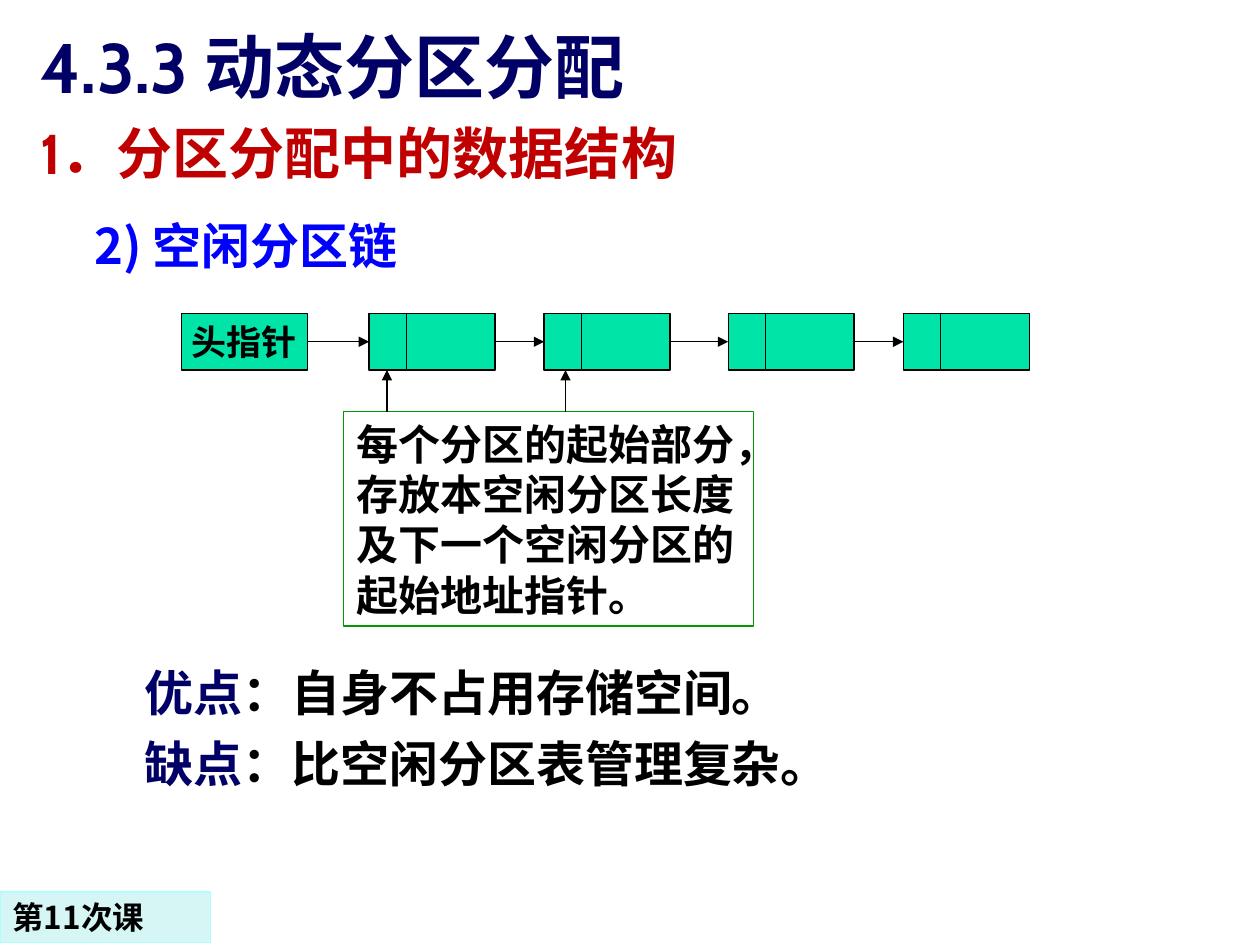
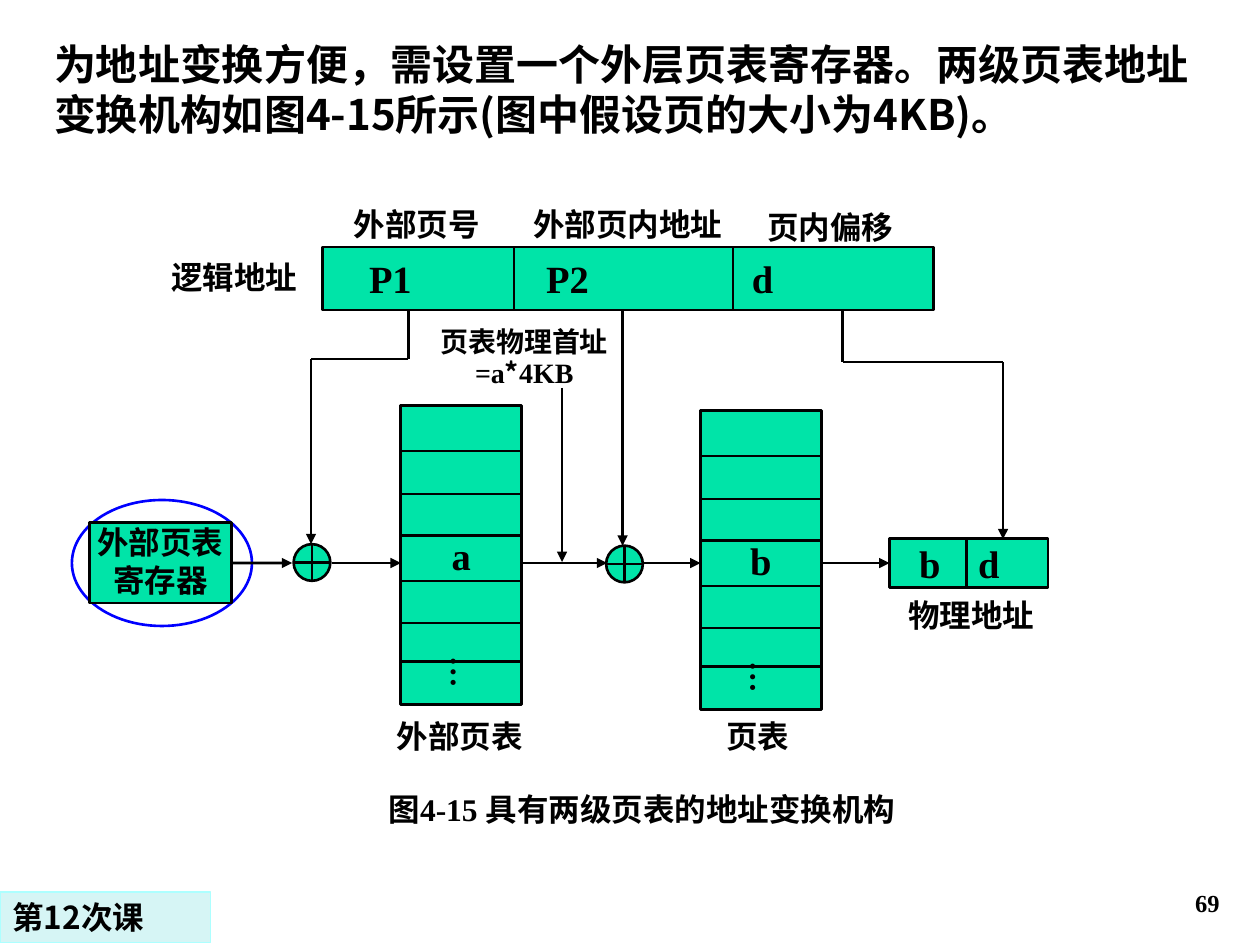
from dataclasses import dataclass
from lxml import etree
from pptx import Presentation, util as u
from pptx.dml.color import RGBColor
from pptx.enum import shapes, text
from pptx.oxml.ns import qn


@dataclass(frozen=True)
class Theme:
    ink: str = "000000"
    navy: str = "000066"
    blue: str = "0000FF"
    red: str = "C00000"
    mint: str = "00E4A8"
    green: str = "009900"
    band: str = "D6F5F5"
    band_edge: str = "ADFFFF"
    white: str = "FFFFFF"
    sans: str = "Noto Sans CJK SC"
    latin: str = "Cabin"
    serif: str = "Times New Roman"
    title: int = 40
    heading: int = 32
    subheading: int = 28
    body: int = 24
    symbol: int = 22
    pointer: int = 20
    label: int = 18
    small: int = 16
    page_number: int = 14
    thin: float = 0.75
    thick: float = 1.5


theme = Theme()
kinds = shapes.MSO_SHAPE
left, center, right = text.PP_ALIGN.LEFT, text.PP_ALIGN.CENTER, text.PP_ALIGN.RIGHT
top, middle, bottom = text.MSO_ANCHOR.TOP, text.MSO_ANCHOR.MIDDLE, text.MSO_ANCHOR.BOTTOM


def add_box(page, kind, place, lines=(), size=theme.label, font=theme.latin, color=theme.ink,
            align=left, anchor=top, wrap=True, gap=0, spacing=None, inset=0.25, tabs=(),
            fill=None, edge=None, weight=theme.thin):
    place = [u.Cm(length) for length in place]
    if kind == "title":
        box = page.shapes.title
        box.left, box.top, box.width, box.height = place
    elif kind is None:
        box = page.shapes.add_textbox(*place)
    else:
        box = page.shapes.add_shape(kind, *place)
        box.shadow.inherit = False
    if fill:
        box.fill.solid()
        box.fill.fore_color.rgb = RGBColor.from_string(fill)
    else:
        box.fill.background()
    if edge:
        box.line.color.rgb = RGBColor.from_string(edge)
        box.line.width = u.Pt(weight)
    else:
        box.line.fill.background()
    frame = box.text_frame
    frame.word_wrap = wrap
    frame.auto_size = text.MSO_AUTO_SIZE.NONE
    frame.vertical_anchor = anchor
    frame.margin_left, frame.margin_right = u.Cm(inset), u.Cm(0.25)
    frame.margin_top = frame.margin_bottom = u.Cm(0.13)
    for index, line in enumerate(lines):
        para = frame.add_paragraph() if index else frame.paragraphs[0]
        para.alignment = align
        para.space_before = u.Pt(gap if index else 0)
        if spacing:
            para.line_spacing = spacing
        properties = para._p.get_or_add_pPr()
        if tabs:
            stops = etree.SubElement(properties, qn("a:tabLst"))
            for stop in tabs:
                etree.SubElement(stops, qn("a:tab"), pos=str(u.Cm(stop)), algn="l")
        para.font.size, para.font.bold, para.font.name = u.Pt(size), True, font
        para.font.color.rgb = RGBColor.from_string(color)
        etree.SubElement(properties.find(qn("a:defRPr")), qn("a:ea"), typeface=theme.sans)
        for words, changes in [(line, {})] if isinstance(line, str) else line:
            span = para.add_run()
            span.text = words
            if "color" in changes:
                span.font.color.rgb = RGBColor.from_string(changes["color"])
            if "font" in changes:
                span.font.name = changes["font"]
    return box


def add_line(page, start, end, weight=theme.thick, arrow=False):
    line = page.shapes.add_connector(shapes.MSO_CONNECTOR.STRAIGHT,
                                     *[u.Cm(length) for length in (*start, *end)])
    line.line.color.rgb = RGBColor.from_string(theme.ink)
    line.line.width = u.Pt(weight)
    properties = line._element.spPr
    if arrow:
        etree.SubElement(properties.find(qn("a:ln")), qn("a:tailEnd"), type="triangle")
    etree.SubElement(properties, qn("a:effectLst"))
    return line


deck = Presentation()
deck.slide_width, deck.slide_height = u.Cm(25.4), u.Cm(19.05)
chain_page = deck.slides.add_slide(deck.slide_layouts[5])
paging_page = deck.slides.add_slide(deck.slide_layouts[6])
for page, lesson in ((chain_page, "第11次课"), (paging_page, "第12次课")):
    add_box(page, kinds.RECTANGLE, (0, 17.98, 4.24, 1.02), [lesson], font=theme.sans,
            fill=theme.band, edge=theme.band_edge)

page = chain_page
add_box(page, "title", (0.56, 0.56, 18.21, 1.73), ["4.3.3 动态分区分配"],
        size=theme.title, color=theme.navy, anchor=bottom)
add_box(page, None, (0.56, 2.26, 16.31, 1.63), ["1．分区分配中的数据结构"],
        size=theme.heading, color=theme.red)
add_box(page, None, (1.65, 4.22, 11.86, 1.63), ["2) 空闲分区链"],
        size=theme.subheading, font=theme.sans, color=theme.blue)

block_top, block_width, block_height = 6.32, 2.54, 1.14
block_middle = block_top + block_height / 2
previous = add_box(page, kinds.RECTANGLE, (3.66, block_top, block_width, block_height), ["头指针"],
                   size=theme.pointer, align=center, anchor=middle, wrap=False,
                   fill=theme.mint, edge=theme.ink)
for x in (7.44, 10.97, 14.68, 18.21):
    block = add_box(page, kinds.RECTANGLE, (x, block_top, block_width, block_height),
                    fill=theme.mint, edge=theme.ink)
    add_line(page, (x + 0.75, block_top), (x + 0.75, block_top + block_height), theme.thin)
    link = add_line(page, (x - 1, block_middle), (x, block_middle), theme.thin, True)
    link.begin_connect(previous, 3)
    link.end_connect(block, 1)
    previous = block

add_box(page, kinds.RECTANGLE, (6.93, 8.3, 8.26, 4.32),
        ["每个分区的起始部分，存放本空闲分区长度及下一个空闲分区的起始地址指针。"],
        size=theme.body, edge=theme.green)
for x in (7.8, 11.4):
    add_line(page, (x, 8.3), (x, block_top + block_height), theme.thin, True)
add_box(page, None, (2.67, 13.23, 16.64, 2.87),
        [[("优点", {"color": theme.navy}), ("：自身不占用存储空间。", {})],
         [("缺点", {"color": theme.navy}), ("：比空闲分区表管理复杂。", {})]],
        size=theme.subheading, font=theme.sans, gap=7)

page = paging_page
add_box(page, None, (19.56, 17.35, 5.28, 1.27), ["69"], size=theme.page_number,
        font=theme.serif, align=right, anchor=bottom)
add_box(page, None, (0.84, 0.64, 23.7, 2.29),
        ["为地址变换方便，需设置一个外层页表寄存器。两级页表地址变换机构如图4-15所示(图中假设页的大小为4KB)。"],
        size=theme.body, font=theme.sans)

add_box(page, kinds.OVAL, (1.45, 10.08, 3.63, 2.54), edge=theme.blue, weight=theme.thick)
register = add_box(page, kinds.RECTANGLE, (1.8, 10.54, 2.87, 1.62), ["外部页表", "寄存器"],
                   align=center, anchor=middle, wrap=False, gap=2.2, spacing=0.9,
                   fill=theme.mint, edge=theme.ink, weight=theme.thick)
add_box(page, kinds.RECTANGLE, (6.5, 4.98, 12.32, 1.27), ["P1\tP2\td"], size=theme.symbol,
        font=theme.serif, anchor=middle, inset=0.94, tabs=(3.57, 7.72),
        fill=theme.mint, edge=theme.ink, weight=theme.thick)
physical = add_box(page, kinds.RECTANGLE, (17.93, 10.86, 3.2, 0.98), ["b\td"], size=theme.symbol,
                   font=theme.serif, anchor=middle, inset=0.6, tabs=(1.19,),
                   fill=theme.mint, edge=theme.ink, weight=theme.thick)
for x, y, height in ((10.36, 4.98, 1.27), (14.78, 4.98, 1.27), (19.48, 10.86, 0.98)):
    add_line(page, (x, y), (x, y + height))

table_width, table_height = 2.44, 6.02
for x, y, entry in ((8.08, 8.18, "a"), (14.12, 8.28, "b")):
    add_box(page, kinds.RECTANGLE, (x, y, table_width, table_height), [entry], size=theme.symbol,
            font=theme.serif, align=center, anchor=middle, wrap=False,
            fill=theme.mint, edge=theme.ink, weight=theme.thick)
    for offset in (0.91, 1.78, 2.62, 3.53, 4.38, 5.16):
        add_line(page, (x, y + offset), (x + table_width, y + offset))
    dots = add_box(page, None, (x + 0.89, y + 5.05, 0.76, 1.09), ["…"], font=theme.serif,
                   align=center, inset=0)
    frame = dots.text_frame
    frame.margin_right = frame.margin_top = frame.margin_bottom = 0
    frame._txBody.bodyPr.set("vert", "eaVert")

for x, y in ((5.92, 10.97), (12.22, 11)):
    add_box(page, kinds.FLOWCHART_OR, (x, y, 0.74, 0.74),
            fill=theme.mint, edge=theme.ink, weight=theme.thick)

axis = 11.35
register_link = add_line(page, (4.67, axis), (5.89, axis), arrow=True)
register_link.begin_connect(register, 3)
for start, end in ((6.7, 8.08), (10.52, 12.24), (12.95, 14.12)):
    add_line(page, (start, axis), (end, axis), arrow=True)
physical_link = add_line(page, (16.59, axis), (17.93, axis), arrow=True)
physical_link.end_connect(physical, 1)

for route in (((8.23, 6.27), (8.23, 7.24), (6.27, 7.24), (6.27, 10.97)),
              ((11.33, 7.82), (11.33, 11.33)),
              ((12.55, 6.25), (12.55, 11)),
              ((16.99, 6.27), (16.99, 7.3), (20.22, 7.3), (20.22, 10.87))):
    for start, end in zip(route, route[1:]):
        add_line(page, start, end, arrow=end == route[-1])

for label, x, y, width in (("外部页号", 6.5, 4.01, 3.81),
                           ("外部页内地址", 10.19, 4.01, 4.93),
                           ("页内偏移", 14.78, 4.06, 3.91),
                           ("逻辑地址", 3, 5.08, 3.45),
                           ("外部页表", 7.54, 14.33, 3.45),
                           ("页表", 14.25, 14.33, 2.06),
                           ("物理地址", 17.86, 11.89, 3.45)):
    add_box(page, None, (x, y, width, 1.02), [label], align=center)
add_box(page, None, (8.59, 6.5, 3.96, 2.08),
        ["页表物理首址", [("=a", {}), ("*", {"font": theme.sans}), ("4KB", {})]],
        size=theme.small, font=theme.serif, align=center, spacing=0.9)
add_box(page, kinds.RECTANGLE, (5.08, 15.8, 15.72, 1.02), ["图4-15 具有两级页表的地址变换机构"],
        font=theme.serif, align=center, fill=theme.white)

deck.save("out.pptx")
